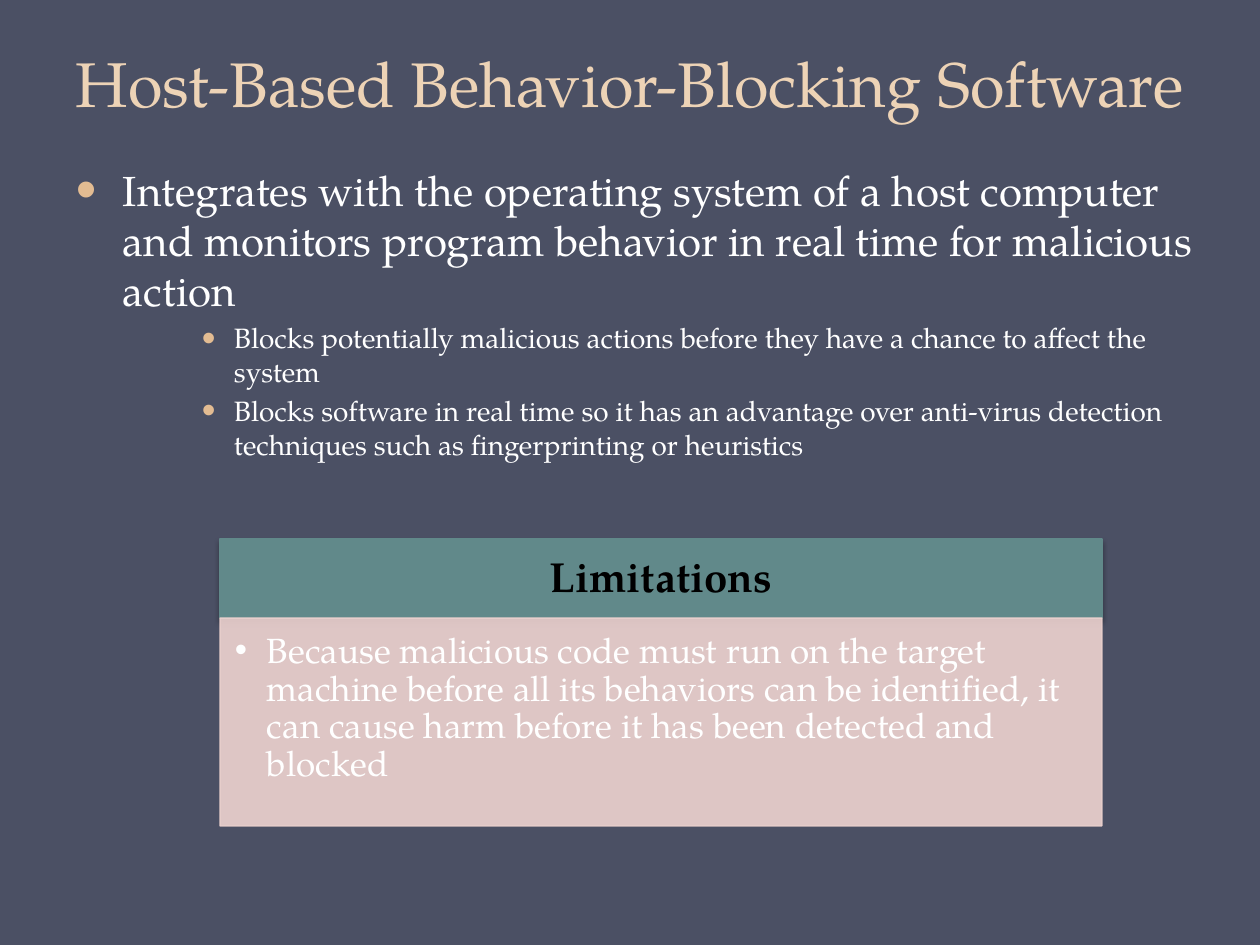
from lxml import etree
from pptx import Presentation, util as u
from pptx.dml.color import RGBColor
from pptx.enum import shapes, text
from pptx.oxml import parse_xml
from pptx.oxml.ns import nsdecls, qn

PX = 914400 // 126
FONT = "TeX Gyre Pagella"
BACKGROUND = RGBColor(0x4B, 0x50, 0x64)
SAND = RGBColor(0xED, 0xD3, 0xB6)
BULLET = RGBColor(0xE3, 0xBC, 0x92)
TEAL = RGBColor(0x61, 0x89, 0x8A)
PINK = RGBColor(0xEE, 0xD3, 0xD0)
WHITE = RGBColor(0xFF, 0xFF, 0xFF)
BLACK = RGBColor(0, 0, 0)

# Content
TITLE = "Host-Based Behavior-Blocking Software"
POINTS = [  # text, level, size, left margin px, hanging px, space before pt
    ("Integrates with the operating system of a host computer and monitors "
     "program behavior in real time for malicious action", 0, 24, 47, 47, 0),
    ("Blocks potentially malicious actions before they have a chance to "
     "affect the system", 2, 16, 158, 32, 3.2),
    ("Blocks software in real time so it has an advantage over anti-virus "
     "detection techniques such as fingerprinting or heuristics", 2, 16, 158, 32, 3.2),
]
HEADING = "Limitations"
LIMITATION = ("Because malicious code must run on the target machine before all its "
              "behaviors can be identified, it can cause harm before it has been "
              "detected and blocked")

# Layout: left, top, width, height in px
TITLE_BOX = (0, -32, 1260, 158)
BODY_BOX = (63, 158, 1166, 420)
PANEL_LEFT, PANEL_TOP, PANEL_WIDTH = 220, 539, 882
HEADING_HEIGHT, DETAIL_HEIGHT = 79, 208


def set_margins(frame, margins):
    frame.word_wrap = True
    (frame.margin_left, frame.margin_top,
     frame.margin_right, frame.margin_bottom) = [m * PX for m in margins]


def add_text_box(slide, box):
    frame = slide.shapes.add_textbox(*[v * PX for v in box]).text_frame
    set_margins(frame, (13, 6, 13, 6))
    return frame


def add_panel(slide, top, height, color, margins):
    panel = slide.shapes.add_shape(
        shapes.MSO_SHAPE.RECTANGLE,
        *[v * PX for v in (PANEL_LEFT, top, PANEL_WIDTH, height)])
    panel.shadow.inherit = False
    panel.fill.solid()
    panel.fill.fore_color.rgb = color
    panel.line.color.rgb = color
    panel.line.width = u.Pt(0.75)
    set_margins(panel.text_frame, margins)
    return panel


def add_bullet(paragraph, margin, hanging, color=None, percent=100):
    properties = paragraph._p.get_or_add_pPr()
    properties.set("marL", str(margin * PX))
    properties.set("indent", str(-hanging * PX))
    if color is not None:
        bullet_color = etree.SubElement(properties, qn("a:buClr"))
        etree.SubElement(bullet_color, qn("a:srgbClr"), val=str(color))
    etree.SubElement(properties, qn("a:buSzPct"), val=str(percent * 1000))
    etree.SubElement(properties, qn("a:buFont"), typeface="Arial")
    etree.SubElement(properties, qn("a:buChar"), char="•")


def style(paragraph, size, color, bold=False, align=text.PP_ALIGN.LEFT):
    paragraph.alignment = align
    font = paragraph.font
    font.name, font.size, font.bold = FONT, u.Pt(size), bold
    font.color.rgb = color


def add_shadow(shape):
    effects = shape._element.spPr.find(qn("a:effectLst"))
    effects.append(parse_xml(
        f'<a:outerShdw {nsdecls("a")} blurRad="{u.Pt(3.1)}" dist="{u.Pt(1.8)}" '
        'dir="5400000" rotWithShape="0"><a:srgbClr val="000000">'
        '<a:alpha val="35000"/></a:srgbClr></a:outerShdw>'))


def set_opacity(shape, percent):
    for color in shape._element.spPr.iter(qn("a:srgbClr")):
        etree.SubElement(color, qn("a:alpha"), val=str(percent * 1000))


def main():
    presentation = Presentation()
    presentation.slide_width = 1260 * PX
    presentation.slide_height = 945 * PX
    slide = presentation.slides.add_slide(presentation.slide_layouts[6])
    slide.background.fill.solid()
    slide.background.fill.fore_color.rgb = BACKGROUND

    # Title
    frame = add_text_box(slide, TITLE_BOX)
    frame.vertical_anchor = text.MSO_ANCHOR.BOTTOM
    paragraph = frame.paragraphs[0]
    paragraph.text = TITLE
    paragraph.line_spacing = u.Pt(58)
    style(paragraph, 36, SAND, align=text.PP_ALIGN.CENTER)

    # Main points
    frame = add_text_box(slide, BODY_BOX)
    for index, (words, level, size, margin, hanging, before) in enumerate(POINTS):
        paragraph = frame.add_paragraph() if index else frame.paragraphs[0]
        paragraph.text = words
        paragraph.level = level
        add_bullet(paragraph, margin, hanging, BULLET, 140)
        paragraph.space_before = u.Pt(before)
        style(paragraph, size, WHITE)

    # Limitations heading
    heading = add_panel(slide, PANEL_TOP, HEADING_HEIGHT, TEAL, (24, 14, 24, 14))
    add_shadow(heading)
    heading.text_frame.vertical_anchor = text.MSO_ANCHOR.MIDDLE
    paragraph = heading.text_frame.paragraphs[0]
    paragraph.text = HEADING
    paragraph.line_spacing = 0.9
    style(paragraph, 24, BLACK, bold=True, align=text.PP_ALIGN.CENTER)

    # Limitations detail
    detail = add_panel(slide, PANEL_TOP + HEADING_HEIGHT, DETAIL_HEIGHT, PINK,
                       (15, 15, 20, 21))
    set_opacity(detail, 90)
    detail.text_frame.vertical_anchor = text.MSO_ANCHOR.TOP
    paragraph = detail.text_frame.paragraphs[0]
    paragraph.text = LIMITATION
    paragraph.level = 1
    add_bullet(paragraph, 32, 32)
    paragraph.line_spacing = 0.9
    style(paragraph, 20, WHITE)

    presentation.save("out.pptx")


if __name__ == "__main__":
    main()
